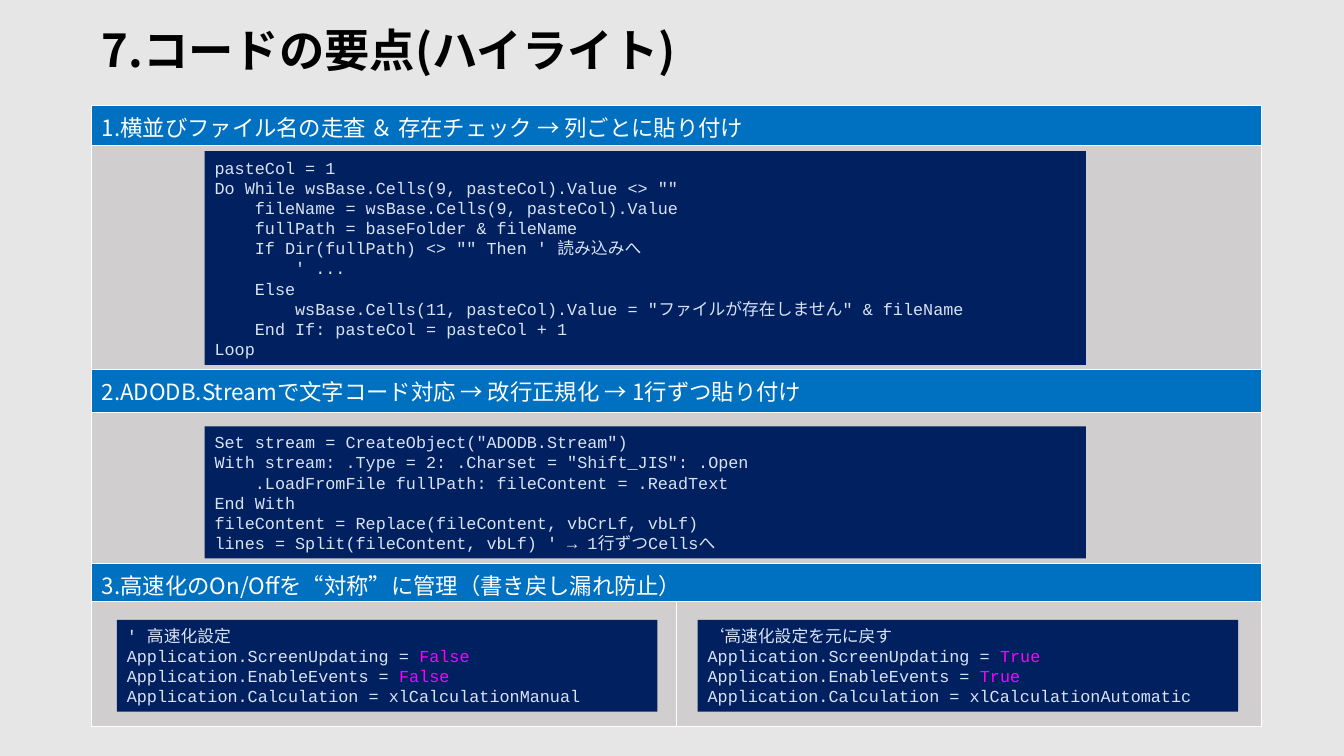
"""Build the slide that highlights the key points of the code."""
from lxml import etree
from pptx import Presentation
from pptx.dml.color import RGBColor
from pptx.enum.shapes import MSO_SHAPE
from pptx.enum.text import MSO_ANCHOR, MSO_AUTO_SIZE, PP_ALIGN
from pptx.oxml.ns import qn
from pptx.util import Pt

RECTANGLE = MSO_SHAPE.RECTANGLE
MIDDLE = MSO_ANCHOR.MIDDLE
GROW = MSO_AUTO_SIZE.SHAPE_TO_FIT_TEXT
LEFT = PP_ALIGN.LEFT

EMU_PER_PX = 9144
COLORS = {
    "background": "E7E6E6",
    "title": "000000",
    "heading": "0070C0",
    "heading_text": "FFFFFF",
    "body": "D0CECE",
    "code": "002060",
    "code_text": "DAE3F3",
    "keyword": "FF00FF",
}
SANS = "Noto Sans CJK JP"
MONO = "Courier New"
ROW_HEIGHTS = (39, 223, 42, 150, 38, 124)
HEADINGS = (
    "1.横並びファイル名の走査 ＆ 存在チェック → 列ごとに貼り付け",
    "2.ADODB.Streamで文字コード対応 → 改行正規化 → 1行ずつ貼り付け",
    "3.高速化のOn/Offを“対称”に管理（書き戻し漏れ防止）",
)
SCAN_CODE = """pasteCol = 1
Do While wsBase.Cells(9, pasteCol).Value <> ""
    fileName = wsBase.Cells(9, pasteCol).Value
    fullPath = baseFolder & fileName
    If Dir(fullPath) <> "" Then ' 読み込みへ
        ' ...
    Else
        wsBase.Cells(11, pasteCol).Value = "ファイルが存在しません" & fileName
    End If: pasteCol = pasteCol + 1
Loop"""
STREAM_CODE = """Set stream = CreateObject("ADODB.Stream")
With stream: .Type = 2: .Charset = "Shift_JIS": .Open
    .LoadFromFile fullPath: fileContent = .ReadText
End With
fileContent = Replace(fileContent, vbCrLf, vbLf)
lines = Split(fileContent, vbLf) ' → 1行ずつCellsへ"""
SPEED_CODE = """{comment}
Application.ScreenUpdating = {state}
Application.EnableEvents = {state}
Application.Calculation = {mode}"""
SPEED_SETTINGS = (
    (116, {"comment": "' 高速化設定", "state": "False", "mode": "xlCalculationManual"}),
    (692, {"comment": "‘高速化設定を元に戻す", "state": "True", "mode": "xlCalculationAutomatic"}),
)


def px(*lengths):
    """Turn whole px into EMU."""
    return [length * EMU_PER_PX for length in lengths]


def color(name):
    """Return the named colour."""
    return RGBColor.from_string(COLORS[name])


class SlideBuilder:
    """Hold the style and the current slide."""

    def __init__(self, slide):
        """Start on a slide and paint its background."""
        self.slide = slide
        self.paint(slide.background, "background")

    def paint(self, item, name):
        """Fill an item with one colour."""
        item.fill.solid()
        item.fill.fore_color.rgb = color(name)

    def run(self, paragraph, text, size, name, typeface, bold=False):
        """Add one formatted run."""
        run = paragraph.add_run()
        run.text = text
        font_values = {"size": Pt(size), "bold": bold, "name": typeface}
        for attribute, value in font_values.items():
            setattr(run.font, attribute, value)
        run.font.color.rgb = color(name)
        east_asian = etree.SubElement(run.font._element, qn("a:ea"))
        east_asian.set("typeface", SANS)

    def title(self, text, box):
        """Add the slide title."""
        frame = self.slide.shapes.add_textbox(*px(*box)).text_frame
        frame.word_wrap = True
        frame.vertical_anchor = MIDDLE
        paragraph = frame.paragraphs[0]
        paragraph.line_spacing = 0.9
        self.run(paragraph, text, 32.4, "title", SANS, True)

    def table(self, headings, row_heights, box):
        """Add the table of headings, each above an empty body row."""
        table = self.slide.shapes.add_table(len(row_heights), 2, *px(*box)).table
        table.horz_banding = False
        for index, height in enumerate(row_heights):
            table.rows[index].height = height * EMU_PER_PX
            left, right = table.cell(index, 0), table.cell(index, 1)
            is_heading = index % 2 == 0
            for cell in (left, right):
                self.paint(cell, "heading" if is_heading else "body")
            if index < len(row_heights) - 1:
                left.merge(right)
            if is_heading:
                paragraph = left.text_frame.paragraphs[0]
                self.run(paragraph, headings[index // 2], 16, "heading_text", SANS)

    def code(self, text, box, keyword=None):
        """Add a code panel with an optional highlighted line ending."""
        shape = self.slide.shapes.add_shape(RECTANGLE, *px(*box))
        shape.shadow.inherit = False
        shape.line.fill.background()
        self.paint(shape, "code")
        frame = shape.text_frame
        frame_values = {"word_wrap": True, "auto_size": GROW, "vertical_anchor": MIDDLE}
        for attribute, value in frame_values.items():
            setattr(frame, attribute, value)
        for index, line in enumerate(text.split("\n")):
            paragraph = frame.add_paragraph() if index else frame.paragraphs[0]
            paragraph.alignment = LEFT
            highlighted = keyword is not None and line.endswith(keyword)
            plain = line.removesuffix(keyword) if highlighted else line
            self.run(paragraph, plain, 12, "code_text", MONO)
            if highlighted:
                self.run(paragraph, keyword, 12, "keyword", MONO)


def main():
    """Build and save the presentation."""
    presentation = Presentation()
    presentation.slide_width, presentation.slide_height = px(1333, 750)
    builder = SlideBuilder(presentation.slides.add_slide(presentation.slide_layouts[6]))
    builder.title("7.コードの要点(ハイライト)", (91, 21, 1150, 63))
    builder.table(HEADINGS, ROW_HEIGHTS, (91, 105, 1160, sum(ROW_HEIGHTS)))
    builder.code(SCAN_CODE, (203, 150, 874, 212))
    builder.code(STREAM_CODE, (203, 423, 874, 131))
    for left, settings in SPEED_SETTINGS:
        code = SPEED_CODE.format(**settings)
        builder.code(code, (left, 615, 536, 91), settings["state"])
    presentation.save("out.pptx")


if __name__ == "__main__":
    main()
